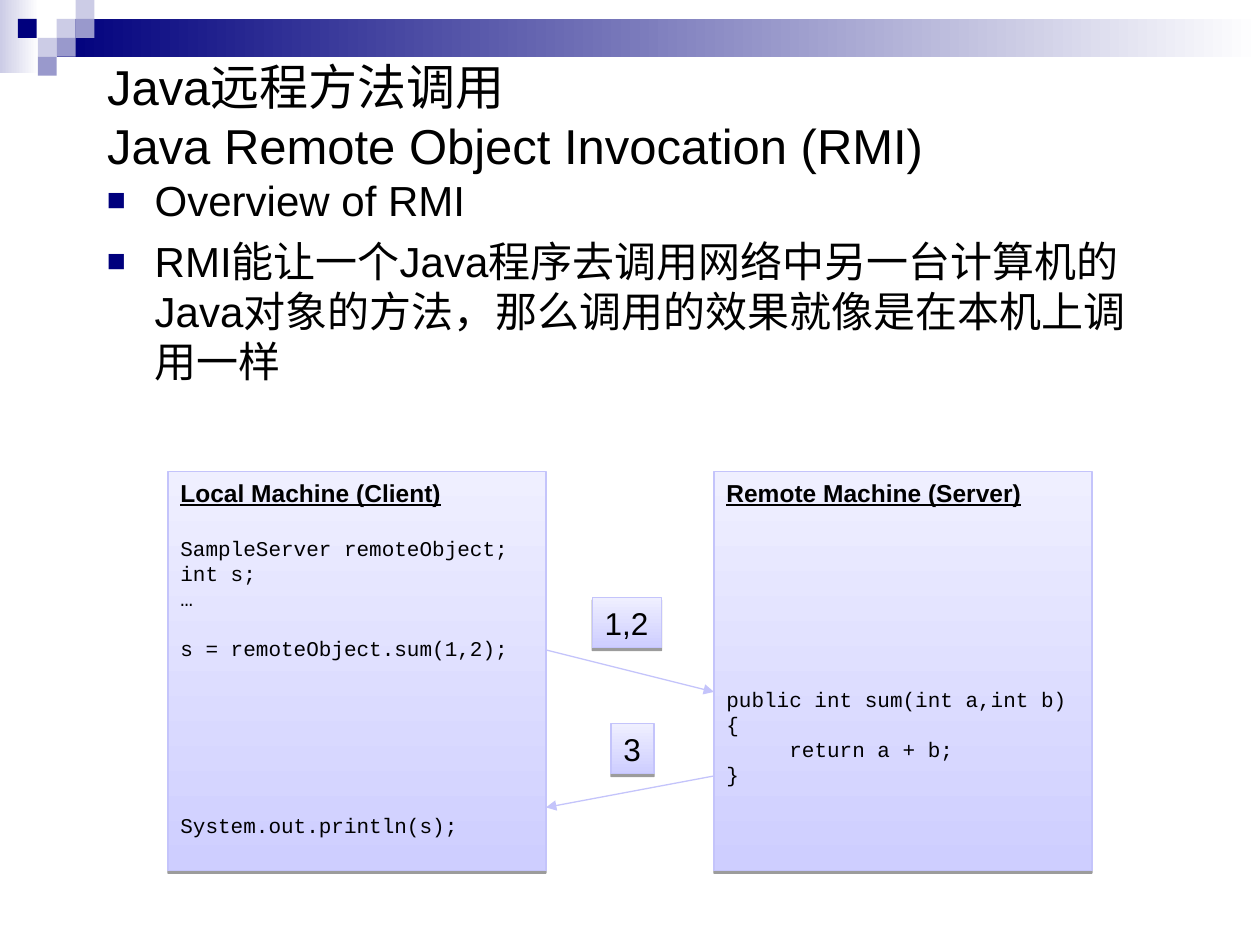
from lxml import etree
from pptx import Presentation
from pptx import util as u
from pptx.dml.color import RGBColor
from pptx.enum import shapes, text
from pptx.oxml.ns import qn

COLORS = {"ink": "000000", "navy": "00007D", "mid": "9999CC", "pale": "CCCCE6",
          "white": "FFFFFF", "top": "EFEFFF", "bottom": "CECEFF", "edge": "C4C4FB"}
COLS, ROWS = 120, 90
CODE_LINE = 14.4
HEAD_GAP = 16

prs = Presentation()
prs.slide_width, prs.slide_height = u.Inches(10), u.Inches(7.5)


def rgb(name):
    return RGBColor.from_string(COLORS[name])


def grid(x, y, w, h):
    cw, rh = prs.slide_width / COLS, prs.slide_height / ROWS
    return [round(v) for v in (x * cw, y * rh, w * cw, h * rh)]


def style(p, size, font="Arial", bold=False):
    p.font.size = u.Pt(size)
    p.font.name = font
    p.font.bold = bold
    p.font.underline = bold
    p.font.color.rgb = rgb("ink")
    p.alignment = text.PP_ALIGN.LEFT


def add_rect(s, box, fills, angle=0):
    sp = s.shapes.add_shape(shapes.MSO_SHAPE.RECTANGLE, *grid(*box))
    sp.shadow.inherit = False
    sp.line.fill.background()
    if len(fills) == 1:
        sp.fill.solid()
        sp.fill.fore_color.rgb = rgb(fills[0])
    else:
        sp.fill.gradient()
        sp.fill.gradient_angle = angle
        for stop, name in zip(sp.fill.gradient_stops, fills):
            stop.color.rgb = rgb(name)
    return sp


def add_panel(s, box):
    sp = add_rect(s, box, ["bottom", "top"], 90)
    sp.line.color.rgb = rgb("edge")
    sp.line.width = u.Pt(0.75)
    effects = sp._element.spPr.find(qn("a:effectLst"))
    shadow = etree.SubElement(effects, qn("a:outerShdw"), blurRad="0",
                              dist=str(u.Pt(1.6)), dir="5400000", rotWithShape="0")
    color = etree.SubElement(shadow, qn("a:srgbClr"), val=COLORS["ink"])
    etree.SubElement(color, qn("a:alpha"), val="38000")
    return sp


def add_arrow(s, x1, y1, x2, y2):
    start, end = grid(x1, y1, 0, 0)[:2], grid(x2, y2, 0, 0)[:2]
    c = s.shapes.add_connector(shapes.MSO_CONNECTOR.STRAIGHT, *start, *end)
    c.line.color.rgb = rgb("edge")
    c.line.width = u.Pt(0.75)
    etree.SubElement(c.line._get_or_add_ln(), qn("a:tailEnd"), type="triangle")
    etree.SubElement(c._element.spPr, qn("a:effectLst"))


def add_banner(s, x, y, w, cell):
    add_rect(s, (x, y, 3.7, 7), ["pale", "white"])
    add_rect(s, (x + 3 * cell, y + cell, w - 3 * cell, 2 * cell), ["navy", "white"])
    mosaic = [(3, 1, "pale"), (4, 0, "pale"), (4, 1, "mid"), (2, 2, "pale"),
              (1, 1, "navy"), (3, 2, "mid"), (2, 3, "mid")]
    for col, row, name in mosaic:
        add_rect(s, (x + col * cell - (0.1 if col == 1 else 0), y + row * cell,
                     cell, cell), [name]) if col == 1 else add_rect(
            s, (x + col * cell, y + row * cell, cell, cell), [name])


def add_title(s, box, lines):
    sp = s.shapes.title
    sp.left, sp.top, sp.width, sp.height = grid(*box)
    tf = sp.text_frame
    tf.text = "\v".join(lines)
    tf.auto_size = text.MSO_AUTO_SIZE.NONE
    tf.vertical_anchor = text.MSO_ANCHOR.MIDDLE
    style(tf.paragraphs[0], 28)


def add_bullets(s, box, items):
    tf = s.shapes.add_textbox(*grid(*box)).text_frame
    tf.word_wrap = True
    for i, item in enumerate(items):
        p = tf.add_paragraph() if i else tf.paragraphs[0]
        p.text = item
        style(p, 24)
        p.space_before = u.Pt(6)
        pr = p._p.get_or_add_pPr()
        pr.set("marL", str(u.Inches(0.38)))
        pr.set("indent", str(-u.Inches(0.38)))
        color = etree.SubElement(pr, qn("a:buClr"))
        etree.SubElement(color, qn("a:srgbClr"), val=COLORS["navy"])
        etree.SubElement(pr, qn("a:buSzPct"), val="75000")
        etree.SubElement(pr, qn("a:buFont"), typeface="Arial")
        etree.SubElement(pr, qn("a:buChar"), char="■")
        pr.append(pr.find(qn("a:defRPr")))


def add_machine(s, box, heading, code):
    tf = add_panel(s, box).text_frame
    tf.word_wrap = True
    tf.vertical_anchor = text.MSO_ANCHOR.TOP
    tf.text = heading
    style(tf.paragraphs[0], 14, bold=True)
    for i, (skipped, indent, line) in enumerate(code):
        p = tf.add_paragraph()
        p.text = line
        style(p, 12, "Courier New")
        p.line_spacing = u.Pt(CODE_LINE)
        p.space_before = u.Pt(skipped * CODE_LINE + (0 if i else HEAD_GAP))
        if indent:
            p._p.get_or_add_pPr().set("marL", str(u.Inches(indent)))


def add_value(s, box, value):
    tf = add_panel(s, box).text_frame
    tf.word_wrap = False
    tf.vertical_anchor = text.MSO_ANCHOR.TOP
    tf.text = value
    style(tf.paragraphs[0], 18)


def add_call_diagram(s, x, y, w, h):
    machine = 36
    left, right = x + machine, x + w - machine
    add_machine(s, (x, y, machine, h), "Local Machine (Client)", [
        (0, 0, "SampleServer remoteObject;"), (0, 0, "int s;"), (0, 0, "…"),
        (1, 0, "s = remoteObject.sum(1,2);"), (6, 0, "System.out.println(s);")])
    add_machine(s, (right, y, machine, h), "Remote Machine (Server)", [
        (6, 0, "public int sum(int a,int b) {"), (0, 0.5, "return a + b;"), (0, 0, "}")])
    add_arrow(s, left, y + 17, right, y + 21)
    add_arrow(s, right, y + 29, left, y + 32)
    add_value(s, (left + 4.4, y + 12, 6.6, 4.8), "1,2")
    add_value(s, (left + 6.2, y + 24, 4.1, 4.8), "3")


def main():
    s = prs.slides.add_slide(prs.slide_layouts[5])
    add_banner(s, 0, 0, COLS, 1.8)
    add_title(s, (9, 6, 102, 10),
              ["Java远程方法调用", "Java Remote Object Invocation (RMI)"])
    add_bullets(s, (9, 16, 102, 64), [
        "Overview of RMI",
        "RMI能让一个Java程序去调用网络中另一台计算机的Java对象的方法，"
        "那么调用的效果就像是在本机上调用一样"])
    add_call_diagram(s, 16, 44.9, 88, 38)
    prs.save("out.pptx")


if __name__ == "__main__":
    main()
